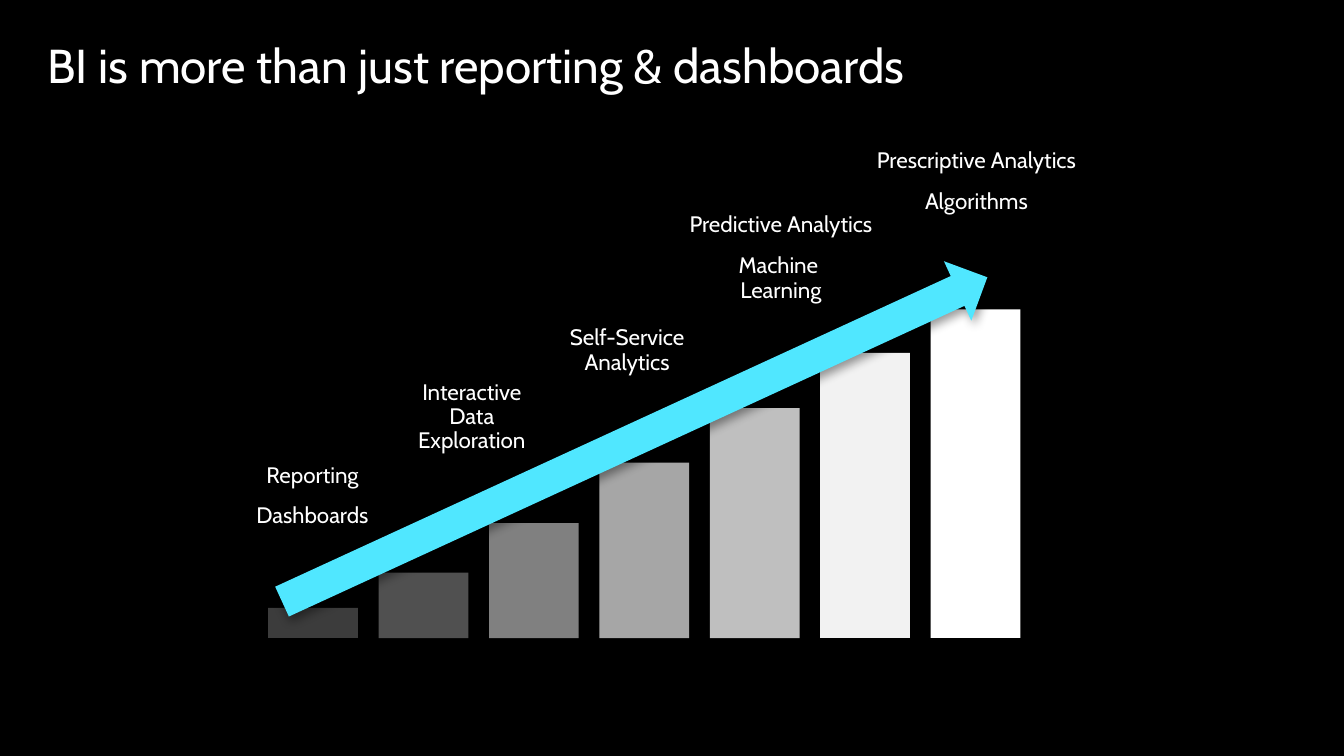
from dataclasses import dataclass

from lxml.etree import SubElement
from pptx import Presentation
from pptx.dml.color import RGBColor
from pptx.enum.shapes import MSO_SHAPE
from pptx.enum.text import MSO_ANCHOR, MSO_AUTO_SIZE, PP_ALIGN
from pptx.oxml.ns import qn
from pptx.shapes.autoshape import Shape
from pptx.slide import Slide
from pptx.text.text import TextFrame
from pptx.util import Inches, Pt

COLORS = {
    "background": "000000",
    "text": "FFFFFF",
    "arrow": "50E7FF",
    "shadow": "000000",
}
FONT = "Cabin"
BAR_LEFT, BAR_PITCH, BAR_WIDTH, BAR_BOTTOM = 2.66, 1.095, 0.89, 6.33


@dataclass
class Bar:
    height: float
    color: str


@dataclass
class Label:
    left: float
    top: float
    width: float
    height: float
    lines: list[str]
    space_after: float = 12


BARS = [
    Bar(0.3, "3C3C3C"),
    Bar(0.65, "505050"),
    Bar(1.14, "808080"),
    Bar(1.74, "A6A6A6"),
    Bar(2.28, "BFBFBF"),
    Bar(2.83, "F2F2F2"),
    Bar(3.26, "FFFFFF"),
]

LABELS = [
    Label(2.28, 4.44, 1.64, 0.98, ["Reporting", "Dashboards"]),
    Label(3.76, 3.62, 1.84, 1.05, ["Interactive Data Exploration"], 6),
    Label(5.4, 3.08, 1.64, 0.81, ["Self-Service Analytics"], 6),
    Label(6.52, 1.96, 2.45, 1.22, ["Predictive Analytics", "Machine \vLearning"]),
    Label(8.36, 1.32, 2.65, 0.98, ["Prescriptive Analytics", "Algorithms"]),
]


def set_margins(frame: TextFrame, left: float, top: float, right: float, bottom: float) -> None:
    frame.margin_left, frame.margin_top = Inches(left), Inches(top)
    frame.margin_right, frame.margin_bottom = Inches(right), Inches(bottom)


def write_lines(
    frame: TextFrame, lines: list[str], size: float, alignment: PP_ALIGN, space_after: float
) -> None:
    for index, line in enumerate(lines):
        paragraph = frame.add_paragraph() if index else frame.paragraphs[0]
        paragraph.text = line
        paragraph.alignment = alignment
        paragraph.line_spacing = 0.9
        paragraph.space_before = Pt(0)
        paragraph.space_after = Pt(space_after)
        paragraph.font.name = FONT
        paragraph.font.size = Pt(size)
        paragraph.font.color.rgb = RGBColor.from_string(COLORS["text"])


def add_title(slide: Slide) -> None:
    title = slide.shapes.title
    title.left, title.top = Inches(0.47), Inches(0.24)
    title.width, title.height = Inches(12.4), Inches(0.83)
    frame = title.text_frame
    frame.word_wrap = True
    frame.auto_size = MSO_AUTO_SIZE.NONE
    frame.vertical_anchor = MSO_ANCHOR.TOP
    set_margins(frame, 0, 0.18, 0, 0)
    write_lines(frame, ["BI is more than just reporting & dashboards"], 34, PP_ALIGN.LEFT, 0)


def add_filled_shape(
    slide: Slide, kind: MSO_SHAPE, left: float, top: float, width: float, height: float, color: str
) -> Shape:
    shape = slide.shapes.add_shape(kind, Inches(left), Inches(top), Inches(width), Inches(height))
    shape.shadow.inherit = False
    shape.fill.solid()
    shape.fill.fore_color.rgb = RGBColor.from_string(color)
    shape.line.fill.background()
    return shape


def add_label(slide: Slide, label: Label) -> None:
    box = slide.shapes.add_textbox(
        Inches(label.left), Inches(label.top), Inches(label.width), Inches(label.height)
    )
    frame = box.text_frame
    frame.word_wrap = True
    frame.auto_size = MSO_AUTO_SIZE.SHAPE_TO_FIT_TEXT
    set_margins(frame, 0.2, 0.16, 0.2, 0.16)
    write_lines(frame, label.lines, 16, PP_ALIGN.CENTER, label.space_after)


def add_growth_arrow(slide: Slide) -> None:
    arrow = add_filled_shape(slide, MSO_SHAPE.UP_ARROW, 5.97, 0.51, 0.65, 7.7, COLORS["arrow"])
    arrow.rotation = 65.3
    effects = arrow.element.spPr.find(qn("a:effectLst"))
    shadow = SubElement(
        effects,
        qn("a:outerShdw"),
        blurRad=str(Pt(7)),
        dist=str(Pt(4)),
        dir=str(70 * 60000),
        algn="ctr",
        rotWithShape="0",
    )
    color = SubElement(shadow, qn("a:srgbClr"), val=COLORS["shadow"])
    SubElement(color, qn("a:alpha"), val="40000")


def main() -> None:
    presentation = Presentation()
    presentation.slide_width, presentation.slide_height = Inches(13.33), Inches(7.5)
    slide = presentation.slides.add_slide(presentation.slide_layouts.get_by_name("Title Only"))
    slide.background.fill.solid()
    slide.background.fill.fore_color.rgb = RGBColor.from_string(COLORS["background"])
    add_title(slide)
    for index, bar in enumerate(BARS):
        left, top = BAR_LEFT + index * BAR_PITCH, BAR_BOTTOM - bar.height
        add_filled_shape(slide, MSO_SHAPE.RECTANGLE, left, top, BAR_WIDTH, bar.height, bar.color)
    for label in LABELS:
        add_label(slide, label)
    add_growth_arrow(slide)
    presentation.save("out.pptx")


if __name__ == "__main__":
    main()
